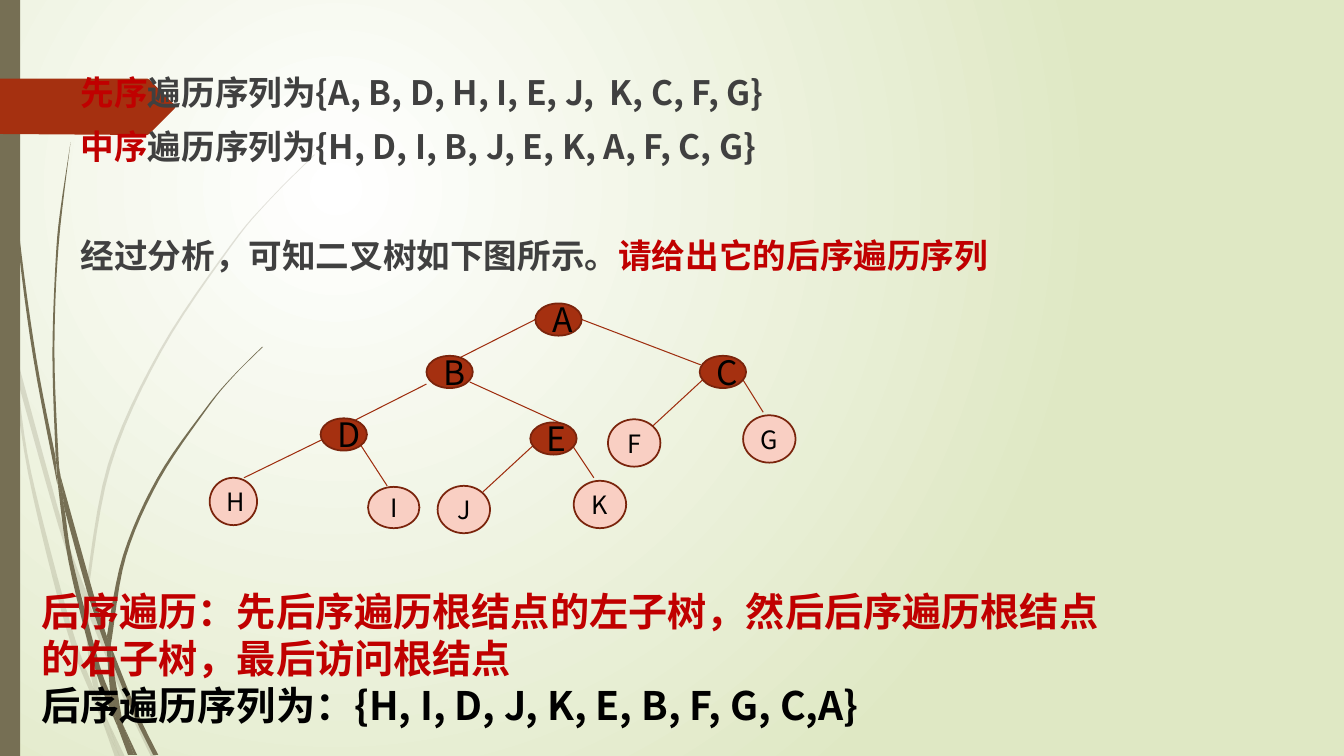
import lxml.etree
import pptx
import pptx.dml.color
import pptx.enum.shapes
import pptx.enum.text
import pptx.oxml
import pptx.oxml.ns
import pptx.util
from pptx.util import Inches

RGBColor = pptx.dml.color.RGBColor
WHITE = RGBColor(0xFF, 0xFF, 0xFF)
SAGE = RGBColor(0xDF, 0xE8, 0xC4)
OLIVE = RGBColor(0x76, 0x6F, 0x54)
RUST = RGBColor(0xA5, 0x30, 0x10)
PINK = RGBColor(0xF9, 0xCF, 0xC3)
NODE_LINE = RGBColor(0x7A, 0x24, 0x0C)
EDGE_LINE = RGBColor(0x9E, 0x2E, 0x0F)
RED = RGBColor(0xC0, 0x00, 0x00)
GREY = RGBColor(0x40, 0x40, 0x40)
BLACK = RGBColor(0x00, 0x00, 0x00)
FONT = "Noto Sans CJK SC"

# Grass blades: each is two edges in inches, one going out and one coming back
PALE_BLADES = [
    ([(0.11, 3.5), (0.09, 3.22), (0, 2.82)], [(0, 2.99), (0.1, 3.44)]),
    ([(0.14, 3.45), (0.62, 5.2), (0.85, 5.86)], [(0.84, 5.99), (0.58, 5.22), (0.17, 3.76)]),
    ([(0.88, 5.96), (0.92, 6.07), (1.27, 6.92), (1.55, 7.51)],
     [(1.5, 7.51), (1.23, 6.94), (0.88, 6.1)]),
    ([(1.05, 7.11), (1.24, 7.51)], [(1.19, 7.51)]),
    ([(0.11, 3.5), (0.17, 3.76), (0.31, 4.69), (0.7, 6.19), (0.93, 6.83)],
     [(1.01, 7.14), (0.92, 6.93), (0.65, 6.21), (0.28, 4.7), (0.11, 3.5)]),
    ([(0.84, 5.99), (0.87, 6.46), (0.93, 6.83), (1.05, 7.11)],
     [(1.03, 7.06), (0.91, 6.46), (0.88, 6.1)]),
    ([(0.88, 5.96), (0.88, 5.84), (1.1, 4.62), (1.6, 3.49), (2.29, 2.45), (2.68, 1.98),
      (3.12, 1.54)],
     [(3.12, 1.53), (2.68, 1.97), (2.28, 2.44), (1.58, 3.48), (1.07, 4.61), (0.85, 5.84)]),
    ([(1.01, 7.14), (1.14, 7.51)], [(1.19, 7.51)]),
    ([(0.85, 5.86), (0.88, 5.96), (0.88, 6.1)], [(0.84, 5.99)]),
    ([(0.93, 6.83), (1.05, 7.11), (1.19, 7.51)], [(1.01, 7.14), (0.99, 7.07)]),
]
DARK_BLADES = [
    ([(0.03, 0), (0.04, 0.48), (0.07, 1.1), (0.17, 2.33), (0.33, 3.55), (0.57, 4.81)],
     [(0.55, 4.53), (0.36, 3.55), (0.19, 2.32), (0.08, 1.09), (0.05, 0.48), (0.04, 0)]),
    ([(0.6, 4.72), (0.93, 5.9), (1.06, 6.31)], [(1.06, 6.45), (0.88, 5.92), (0.64, 5.05)]),
    ([(1.1, 6.41), (1.36, 7.06), (1.57, 7.49)], [(1.52, 7.49), (1.32, 7.08), (1.11, 6.56)]),
    ([(0.57, 4.77), (0.64, 5.05), (0.72, 5.56), (0.98, 6.57), (1.1, 6.91), (1.17, 7.22)],
     [(1.11, 7.08), (0.93, 6.59), (0.68, 5.57), (0.57, 4.77)]),
    ([(0.6, 4.72), (0.58, 4.53), (0.54, 3.49), (0.58, 2.45), (0.7, 1.41)],
     [(0.62, 1.93), (0.56, 2.45), (0.52, 3.49), (0.55, 4.49)]),
    ([(1.22, 7.19), (1.36, 7.49)], [(1.33, 7.49)]),
    ([(0.55, 4.49), (0.6, 4.72), (0.64, 5.05)], [(0.57, 4.77)]),
    ([(1.1, 6.41), (1.11, 6.33), (1.25, 5.52), (1.58, 4.76), (2.05, 4.06), (2.31, 3.74),
      (2.61, 3.44)],
     [(2.6, 3.44), (2.31, 3.73), (2.04, 4.05), (1.56, 4.74), (1.22, 5.51), (1.06, 6.31)]),
    ([(1.17, 7.22), (1.31, 7.49)], [(1.27, 7.49)]),
    ([(1.06, 6.45), (1.11, 6.56), (1.22, 7.19)], [(1.16, 7.06), (1.1, 6.91), (1.06, 6.45)]),
    ([(1.06, 6.31), (1.1, 6.41), (1.11, 6.56)], [(1.06, 6.45)]),
    ([(1.1, 6.91), (1.22, 7.19), (1.33, 7.49)], [(1.3, 7.49), (1.17, 7.22)]),
]
ARROW_TAG = [(0, 0.78), (1.46, 0.78), (1.48, 0.79), (1.73, 1.04), (1.74, 1.06),
             (1.73, 1.08), (1.48, 1.33), (1.46, 1.34), (0, 1.33)]

# Binary tree: inner nodes share one size, leaves give their own
INNER_NODES = {"A": (5.31, 3.01), "B": (4.23, 3.53), "C": (6.94, 3.53),
               "D": (3.18, 4.15), "E": (5.26, 4.19)}
LEAVES = {"H": (2.08, 4.74, 0.47, 0.47), "I": (3.65, 4.83, 0.51, 0.41),
          "J": (4.34, 4.82, 0.52, 0.47), "K": (5.69, 4.77, 0.52, 0.47),
          "F": (6.03, 4.16, 0.52, 0.47), "G": (7.37, 4.12, 0.52, 0.47)}
EDGES = [(5.31, 3.17, 4.52, 3.57), (5.77, 3.17, 6.95, 3.62), (4.23, 3.81, 3.44, 4.21),
         (4.66, 3.79, 5.54, 4.19), (3.22, 4.35, 2.42, 4.74), (3.58, 4.42, 3.84, 4.82),
         (5.31, 4.4, 4.79, 4.88), (5.63, 4.35, 5.89, 4.74), (7, 3.74, 6.47, 4.23),
         (7.32, 3.69, 7.57, 4.09)]


def smooth(points, steps=6):
    """Run a Catmull-Rom curve through the points."""
    padded = [points[0], *points, points[-1]]
    curve = [points[0]]
    for a, b, c, d in zip(padded, padded[1:], padded[2:], padded[3:]):
        for step in range(1, steps + 1):
            t = step / steps
            curve.append(tuple(
                (2 * q + (r - p) * t + (2 * p - 5 * q + 4 * r - s) * t ** 2
                 + (3 * q - p - 3 * r + s) * t ** 3) / 2
                for p, q, r, s in zip(a, b, c, d)))
    return curve


def paint(shape, fill, line=None):
    shape.shadow.inherit = False
    shape.fill.solid()
    shape.fill.fore_color.rgb = fill
    if line is None:
        shape.line.fill.background()
    else:
        shape.line.color.rgb = line
        shape.line.width = pptx.util.Pt(1.25)


def add_outline(page, points, color, opacity=100):
    corners = [(Inches(x), Inches(y)) for x, y in points]
    builder = page.shapes.build_freeform(*corners[0])
    builder.add_line_segments(corners[1:], close=True)
    shape = builder.convert_to_shape()
    paint(shape, color)
    if opacity < 100:
        for tint in shape.element.spPr.iter(pptx.oxml.ns.qn("a:srgbClr")):
            alpha = lxml.etree.SubElement(tint, pptx.oxml.ns.qn("a:alpha"))
            alpha.set("val", str(opacity * 1000))


def add_span(para, text, size, color, bold=False):
    span = para.add_run()
    span.text = text
    span.font.size = pptx.util.Pt(size)
    span.font.bold = bold
    span.font.name = FONT
    span.font.color.rgb = color
    east = lxml.etree.SubElement(span.font._element, pptx.oxml.ns.qn("a:ea"))
    east.set("typeface", FONT)


def add_node(page, label, left, top, width, height, size, fill):
    node = page.shapes.add_shape(pptx.enum.shapes.MSO_SHAPE.OVAL, Inches(left), Inches(top),
                                 Inches(width), Inches(height))
    paint(node, fill, NODE_LINE)
    node.text_frame.vertical_anchor = pptx.enum.text.MSO_ANCHOR.MIDDLE
    para = node.text_frame.paragraphs[0]
    para.alignment = pptx.enum.text.PP_ALIGN.CENTER
    add_span(para, label, size, BLACK)


def add_edge(page, *ends):
    edge = page.shapes.add_connector(pptx.enum.shapes.MSO_CONNECTOR.STRAIGHT,
                                     *[Inches(value) for value in ends])
    edge.line.color.rgb = EDGE_LINE
    edge.line.width = pptx.util.Pt(0.75)
    lxml.etree.SubElement(edge.element.spPr, pptx.oxml.ns.qn("a:effectLst"))


def set_background(page):
    fill = page.background.fill
    fill.gradient()
    for stop, color, position in zip(fill.gradient_stops, (WHITE, SAGE), (0, 1)):
        stop.color.rgb = color
        stop.position = position
    linear = next(page.element.iter(pptx.oxml.ns.qn("a:lin")))
    radial = pptx.oxml.parse_xml(
        '<a:path xmlns:a="http://schemas.openxmlformats.org/drawingml/2006/main" path="circle">'
        '<a:fillToRect l="50000" t="50000" r="100000" b="100000"/></a:path>')
    linear.getparent().replace(linear, radial)


def fill_body(body):
    body.left, body.top, body.width, body.height = map(Inches, (0.7, 0.66, 9.76, 4.62))
    frame = body.text_frame
    frame.word_wrap = True
    frame.auto_size = pptx.enum.text.MSO_AUTO_SIZE.NONE
    frame.vertical_anchor = pptx.enum.text.MSO_ANCHOR.TOP
    lines = [
        (10, [("先序", RED), ("遍历序列为{A, B, D, H, I, E, J,  K, C, F, G}", GREY)]),
        (10, [("中序", RED), ("遍历序列为{H, D, I, B, J, E, K, A, F, C, G}", GREY)]),
        (49, [("经过分析，可知二叉树如下图所示。", GREY), ("请给出它的后序遍历序列", RED)]),
    ]
    for number, (gap, spans) in enumerate(lines):
        para = frame.add_paragraph() if number else frame.paragraphs[0]
        para.space_before = pptx.util.Pt(gap)
        settings = para._p.get_or_add_pPr()
        settings.set("marL", "0")
        settings.set("indent", "0")
        lxml.etree.SubElement(settings, pptx.oxml.ns.qn("a:buNone"))
        for text, color in spans:
            add_span(para, text, 24, color, bold=True)


def add_answer(page):
    box = page.shapes.add_textbox(Inches(0.31), Inches(5.78), Inches(10.76), Inches(1.51))
    frame = box.text_frame
    frame.word_wrap = True
    frame.auto_size = pptx.enum.text.MSO_AUTO_SIZE.SHAPE_TO_FIT_TEXT
    add_span(frame.paragraphs[0],
             "后序遍历：先后序遍历根结点的左子树，然后后序遍历根结点的右子树，最后访问根结点",
             28, RED, bold=True)
    add_span(frame.add_paragraph(), "后序遍历序列为：{H, I, D, J, K, E, B, F, G, C,A}",
             28, BLACK, bold=True)


def main():
    deck = pptx.Presentation()
    deck.slide_width, deck.slide_height = Inches(13.33), Inches(7.5)
    page = deck.slides.add_slide(deck.slide_layouts[1])
    title = page.shapes.title
    title.element.getparent().remove(title.element)
    set_background(page)

    # Decoration on the left
    for blades, opacity in ((PALE_BLADES, 20), (DARK_BLADES, 100)):
        for out, back in blades:
            add_outline(page, smooth(out) + smooth(back), OLIVE, opacity)
    band = page.shapes.add_shape(pptx.enum.shapes.MSO_SHAPE.RECTANGLE, 0, 0,
                                 Inches(0.2), Inches(7.5))
    paint(band, OLIVE)
    add_outline(page, ARROW_TAG, RUST)

    # Question, brought in front of the decoration
    body = page.placeholders[1]
    fill_body(body)
    body.element.getparent().append(body.element)

    # Tree
    for ends in EDGES:
        add_edge(page, *ends)
    for label, corner in INNER_NODES.items():
        add_node(page, label, *corner, 0.46, 0.32, 24, RUST)
    for label, place in LEAVES.items():
        add_node(page, label, *place, 18, PINK)

    add_answer(page)
    deck.save("out.pptx")


if __name__ == "__main__":
    main()
